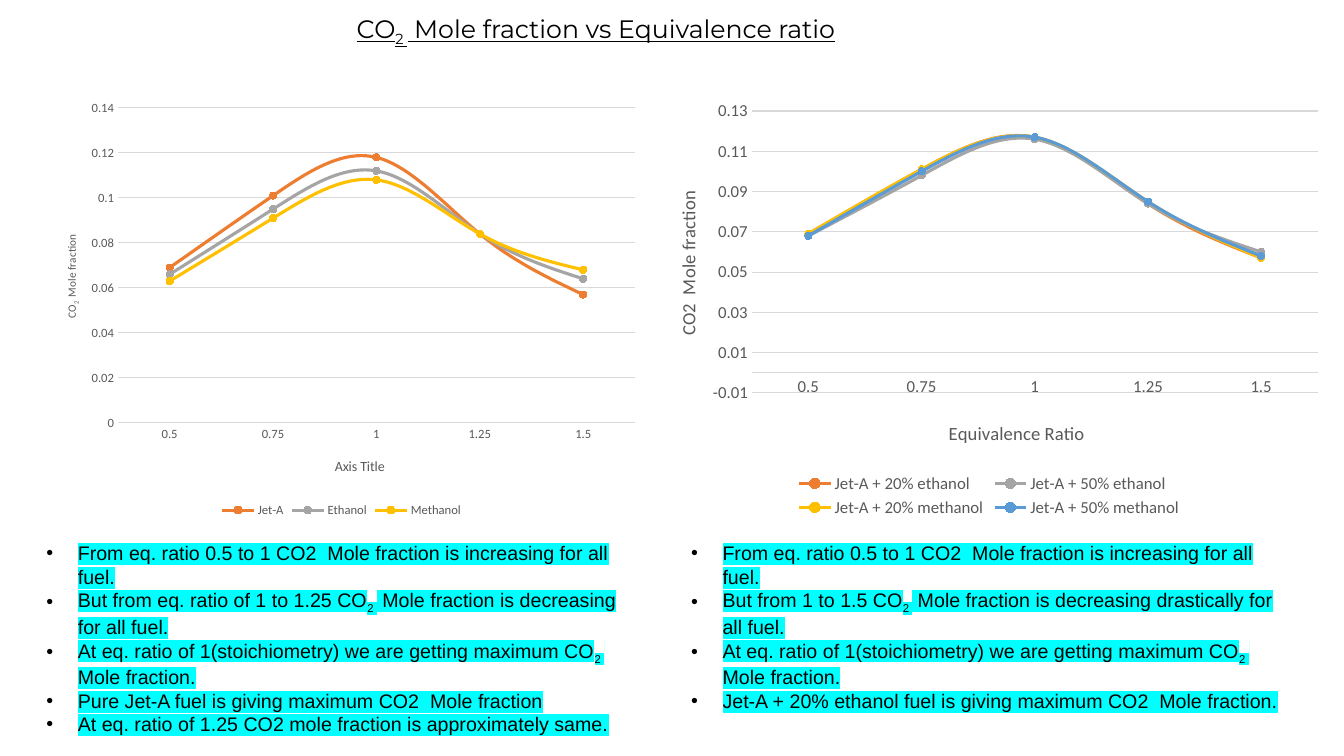
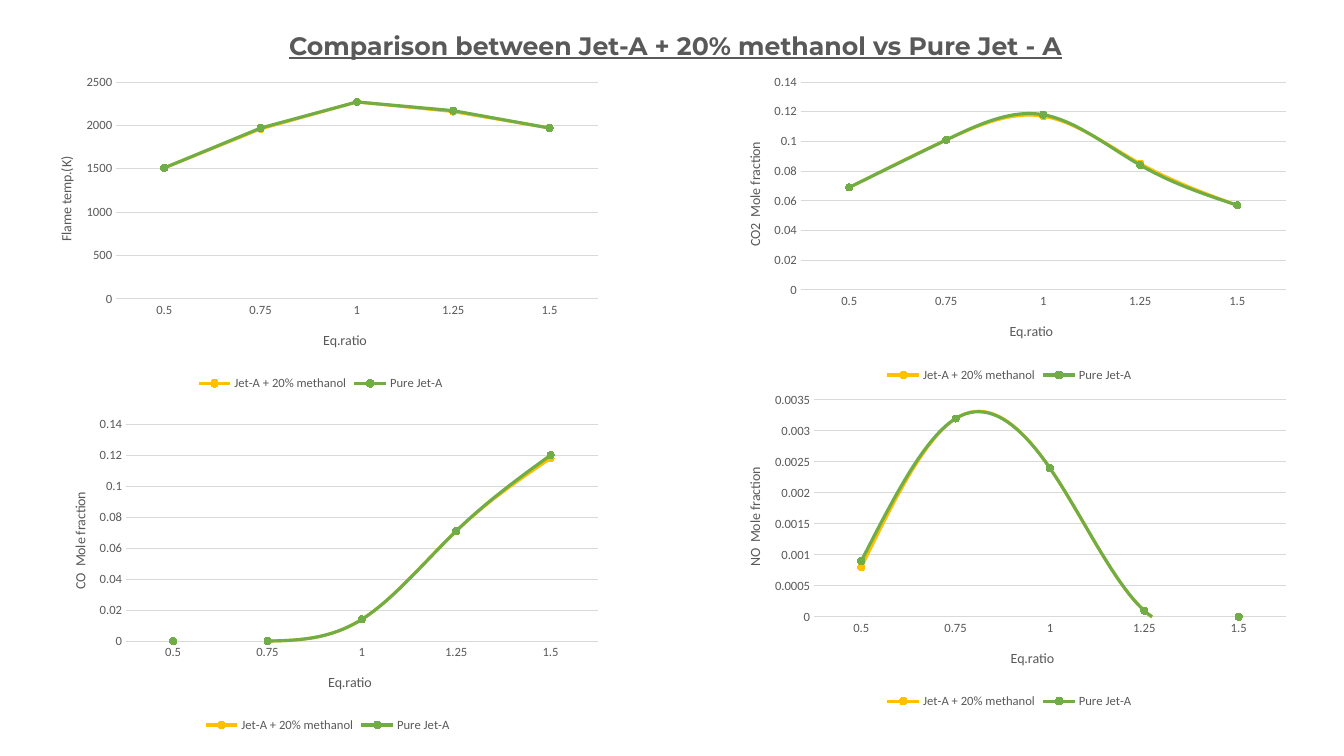
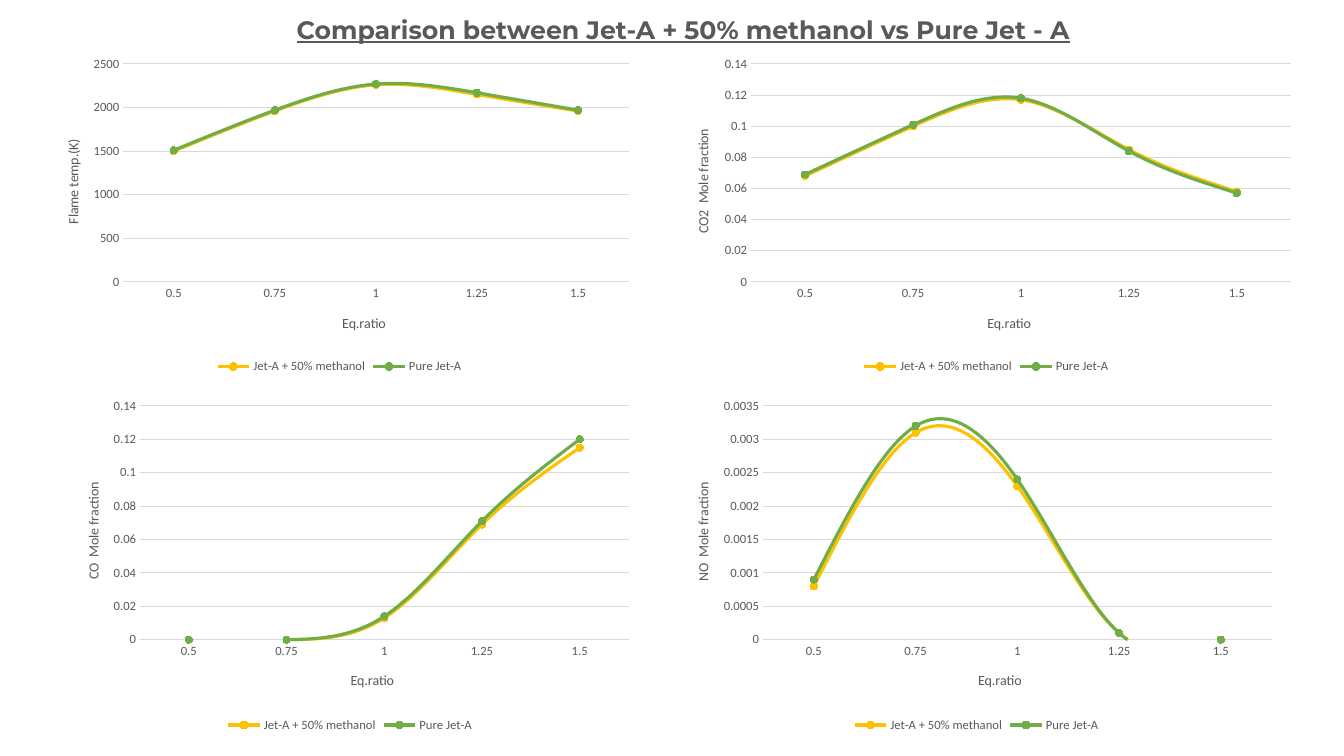
"""Builds three slides comparing combustion results of Jet-A and alcohol blends."""
from lxml import etree
from pptx import Presentation
from pptx.chart.data import CategoryChartData
from pptx.dml.color import RGBColor
from pptx.enum.chart import XL_CHART_TYPE, XL_LEGEND_POSITION, XL_MARKER_STYLE, XL_TICK_MARK
from pptx.enum.text import MSO_ANCHOR, MSO_AUTO_SIZE, PP_ALIGN
from pptx.oxml.ns import qn
from pptx.util import Pt

LINE_MARKERS = XL_CHART_TYPE.LINE_MARKERS
LEGEND_BOTTOM = XL_LEGEND_POSITION.BOTTOM
CIRCLE = XL_MARKER_STYLE.CIRCLE
NO_TICK = XL_TICK_MARK.NONE
TOP = MSO_ANCHOR.TOP
NO_FIT = MSO_AUTO_SIZE.NONE
LEFT, CENTER = PP_ALIGN.LEFT, PP_ALIGN.CENTER

BLACK = RGBColor(0x00, 0x00, 0x00)
GRAY = RGBColor(0x59, 0x59, 0x59)
GRID = RGBColor(0xD9, 0xD9, 0xD9)
ORANGE = RGBColor(0xED, 0x7D, 0x31)
SILVER = RGBColor(0xA5, 0xA5, 0xA5)
GOLD = RGBColor(0xFF, 0xC0, 0x00)
BLUE = RGBColor(0x5B, 0x9B, 0xD5)
GREEN = RGBColor(0x70, 0xAD, 0x47)
CYAN = RGBColor(0x00, 0xFF, 0xFF)

TITLE_FONT, BODY_FONT, CHART_FONT = "Montserrat", "Arial", "Calibri"
RATIOS = ("0.5", "0.75", "1", "1.25", "1.5")
INDENT = Pt(22.5)

FRACTION_SCALE = (0, 0.14, 0.02)
FRACTION_TITLE = ("CO2  Mole fraction", 7.66)

FUEL_CHARTS = [
    dict(box=(26, 65.5, 436, 307), plot=(84.3, 77.1, 369.3, 225),
         value_title=("CO|2 | Mole fraction", 7.4), value_size=8,
         ratio_title=("Axis Title", 4.3), drop=28.5, scale=FRACTION_SCALE,
         series=[("Jet-A", ORANGE, (0.069, 0.101, 0.118, 0.084, 0.057)),
                 ("Ethanol", SILVER, (0.066, 0.095, 0.112, 0.084, 0.064)),
                 ("Methanol", GOLD, (0.063, 0.091, 0.108, 0.084, 0.068))]),
    dict(box=(462, 65.5, 489, 307), plot=(537, 79.3, 404.3, 201.4),
         value_title=FRACTION_TITLE, value_size=13.3, ratio_size=13.3, label_size=12,
         ratio_title=("Equivalence Ratio", 7.21), drop=25, shift=16, inset=26,
         scale=(-0.01, 0.13, 0.02),
         series=[("Jet-A + 20% ethanol", ORANGE, (0.069, 0.101, 0.117, 0.084, 0.057)),
                 ("Jet-A + 50% ethanol", SILVER, (0.068, 0.098, 0.116, 0.084, 0.06)),
                 ("Jet-A + 20% methanol", GOLD, (0.069, 0.101, 0.117, 0.085, 0.057)),
                 ("Jet-A + 50% methanol", BLUE, (0.068, 0.1, 0.117, 0.085, 0.058))]),
]

RATIO_START = "From eq. ratio 0.5 to 1 CO2  Mole fraction is increasing for all fuel."
RATIO_PEAK = "At eq. ratio of 1(stoichiometry) we are getting maximum CO|2 | Mole fraction."
FINDINGS = [
    (26, [RATIO_START,
          "But from eq. ratio of 1 to 1.25 CO|2 | Mole fraction is decreasing for all fuel.",
          RATIO_PEAK,
          "Pure Jet-A fuel is giving maximum CO2  Mole fraction",
          "At eq. ratio of 1.25 CO2 mole fraction is approximately same."]),
    (486.5, [RATIO_START,
             "But from 1 to 1.5 CO|2 | Mole fraction is decreasing drastically for all fuel.",
             RATIO_PEAK,
             "Jet-A + 20% ethanol fuel is giving maximum CO2  Mole fraction."]),
]

MEASURES = [
    dict(value_title=("Flame temp.(K)", 6.2), scale=(0, 2500, 500)),
    dict(value_title=FRACTION_TITLE, scale=FRACTION_SCALE),
    dict(value_title=("CO  Mole fraction", 7.2), scale=FRACTION_SCALE),
    dict(value_title=("NO  Mole fraction", 7.2), scale=(0, 0.0035, 0.0005), shift=14),
]
PURE_VALUES = [
    (1510, 1970, 2270, 2170, 1970),
    (0.069, 0.101, 0.118, 0.084, 0.057),
    (0, 0, 0.014, 0.071, 0.12),
    (0.0009, 0.0032, 0.0024, 0.0001, 0),
]
COMPARISONS = [
    dict(blend="Jet-A + 20% methanol", title_box=(63.5, 18, 838, 29), smooth_temperature=False,
         panels=[
             ((23, 49, 412, 233), (83, 58.6, 344, 155), (1510, 1960, 2270, 2160, 1970)),
             ((515, 49, 412, 227), (572, 58.6, 346.5, 148.5),
              (0.069, 0.101, 0.117, 0.085, 0.057)),
             ((33, 293, 402, 233), (90, 303, 337, 155), (0, 0, 0.014, 0.071, 0.118)),
             ((515, 276, 412, 233), (581.5, 285.7, 337, 155),
              (0.0008, 0.0032, 0.0024, 0.0001, 0)),
         ]),
    dict(blend="Jet-A + 50% methanol", title_box=(93.5, 6.5, 789, 29), smooth_temperature=True,
         panels=[
             ((28, 36, 429, 234), (88, 45.7, 361, 155.7), (1500, 1960, 2260, 2150, 1960)),
             ((478, 36, 453, 234), (536.5, 45.7, 385.7, 155.7),
              (0.068, 0.1, 0.117, 0.085, 0.058)),
             ((42.5, 280, 415, 246), (100, 290, 349, 167), (0, 0, 0.013, 0.069, 0.115)),
             ((478, 280, 439, 246), (545, 290, 363.5, 167),
              (0.0008, 0.0031, 0.0023, 0.0001, 0)),
         ]),
]


def write_text(para, text, font, size, color, bold=False, underline=None, highlight=None):
    """Fill a paragraph; the parts between bars become subscripts."""
    for index, part in enumerate(text.split("|")):
        span = para.add_run()
        span.text = part
        span.font.size = Pt(size)
        span.font.bold = bold
        span.font.underline = underline
        span.font.color.rgb = color
        span.font.name = font
        properties = span.font._element
        if index % 2:
            properties.set("baseline", "-25000")
        if highlight:
            mark = etree.Element(qn("a:highlight"))
            etree.SubElement(mark, qn("a:srgbClr")).set("val", str(highlight))
            properties.find(qn("a:solidFill")).addnext(mark)


def place(shape, box):
    """Move a shape to a box given in points."""
    shape.left, shape.top, shape.width, shape.height = (Pt(length) for length in box)


def add_page(deck, title, box, align=CENTER, color=GRAY, bold=True):
    """Add a slide with the shared underlined title."""
    page = deck.slides.add_slide(deck.slide_layouts[5])
    place(page.shapes.title, box)
    frame = page.shapes.title.text_frame
    frame.word_wrap = True
    frame.auto_size = NO_FIT
    frame.vertical_anchor = TOP
    para = frame.paragraphs[0]
    para.alignment = align
    write_text(para, title, TITLE_FONT, 18, color, bold=bold, underline=True)
    return page


def add_findings(page, left, findings):
    """Add a highlighted bullet list."""
    box = page.shapes.add_textbox(Pt(left), Pt(383), Pt(436), Pt(143))
    frame = box.text_frame
    frame.word_wrap = True
    for index, finding in enumerate(findings):
        para = frame.add_paragraph() if index else frame.paragraphs[0]
        para.alignment = LEFT
        write_text(para, finding, BODY_FONT, 14, BLACK, highlight=CYAN)
        properties = para._p.get_or_add_pPr()
        properties.set("marL", str(INDENT))
        properties.set("indent", str(-INDENT))
        etree.SubElement(properties, qn("a:buFont")).set("typeface", BODY_FONT)
        etree.SubElement(properties, qn("a:buChar")).set("char", "•")


def set_layout(parent, index, **fields):
    """Give a chart part a manual layout."""
    for old in parent.findall(qn("c:layout")):
        parent.remove(old)
    layout = etree.Element(qn("c:layout"))
    manual = etree.SubElement(layout, qn("c:manualLayout"))
    for name, value in fields.items():
        text = value if isinstance(value, str) else f"{value:.4f}"
        etree.SubElement(manual, qn(f"c:{name}")).set("val", text)
    parent.insert(index, layout)


def add_axis_title(axis, text, size, corner, rotation):
    """Title an axis with its top left corner at a fraction of the chart."""
    title = axis.axis_title
    write_text(title.text_frame.paragraphs[0], text, CHART_FONT, size, GRAY)
    element = title._element
    element.find(f".//{qn('a:bodyPr')}").set("rot", str(rotation))
    set_layout(element, 1, xMode="edge", yMode="edge", x=corner[0], y=corner[1])


def style_font(font, size, color=GRAY):
    """Format chart text."""
    font.name, font.size = CHART_FONT, Pt(size)
    font.color.rgb = color


def style_line(line, color, width):
    """Format a line."""
    line.color.rgb = color
    line.width = Pt(width)


def add_line_chart(page, box, plot, series, scale, value_title, ratio_title=("Eq.ratio", 3.18),
                   value_size=10, ratio_size=10, label_size=9, drop=27, shift=10, inset=22,
                   smooth=True):
    """Add a line chart whose plot area is given in points on the page."""
    data = CategoryChartData()
    data.categories = RATIOS
    for name, _, values in series:
        data.add_series(name, values)
    chart = page.shapes.add_chart(LINE_MARKERS, *(Pt(length) for length in box), data).chart
    chart.has_title = False
    style_font(chart.font, 10, BLACK)
    chart.has_legend = True
    chart.legend.position = LEGEND_BOTTOM
    chart.legend.include_in_layout = False
    style_font(chart.legend.font, label_size)
    chart.plots[0].vary_by_categories = False

    for line, (_, color, _) in zip(chart.plots[0].series, series):
        line.smooth = smooth
        style_line(line.format.line, color, 2.25)
        line.marker.style = CIRCLE
        line.marker.size = 5
        line.marker.format.fill.solid()
        line.marker.format.fill.fore_color.rgb = color
        style_line(line.marker.format.line, color, 0.75)

    ratio_axis, value_axis = chart.category_axis, chart.value_axis
    for axis in (ratio_axis, value_axis):
        axis.major_tick_mark = axis.minor_tick_mark = NO_TICK
        style_font(axis.tick_labels.font, label_size)
    style_line(ratio_axis.format.line, GRID, 0.75)
    value_axis.format.line.fill.background()
    value_axis.has_major_gridlines = True
    style_line(value_axis.major_gridlines.format.line, GRID, 0.75)
    value_axis.minimum_scale, value_axis.maximum_scale, value_axis.major_unit = scale

    left, top, width, height = box
    x, y, plot_width, plot_height = plot[0] - left, plot[1] - top, plot[2], plot[3]
    area = chart._chartSpace.find(f".//{qn('c:plotArea')}")
    set_layout(area, 0, layoutTarget="inner", xMode="edge", yMode="edge",
               x=x / width, y=y / height, w=plot_width / width, h=plot_height / height)
    text, ems = ratio_title
    corner = ((x + plot_width / 2 - shift - ems * ratio_size / 2) / width,
              (y + plot_height + drop - 0.61 * ratio_size) / height)
    add_axis_title(ratio_axis, text, ratio_size, corner, 0)
    text, ems = value_title
    corner = ((inset - 0.61 * value_size) / width,
              (y + plot_height / 2 + 5 - ems * value_size / 2) / height)
    add_axis_title(value_axis, text, value_size, corner, -5400000)


def main():
    """Build and save the deck."""
    deck = Presentation()
    deck.slide_width, deck.slide_height = Pt(960), Pt(540)

    page = add_page(deck, "CO|2 | Mole fraction vs Equivalence ratio", (247.5, 6, 480, 29),
                    align=LEFT, color=BLACK, bold=False)
    for chart in FUEL_CHARTS:
        add_line_chart(page, **chart)
    for left, findings in FINDINGS:
        add_findings(page, left, findings)

    for comparison in COMPARISONS:
        blend = comparison["blend"]
        page = add_page(deck, f"Comparison between {blend} vs Pure Jet - A",
                        comparison["title_box"])
        for measure, pure, (box, plot, values) in zip(MEASURES, PURE_VALUES,
                                                      comparison["panels"]):
            smooth = measure is not MEASURES[0] or comparison["smooth_temperature"]
            series = [(blend, GOLD, values), ("Pure Jet-A", GREEN, pure)]
            add_line_chart(page, box, plot, series, smooth=smooth, **measure)

    deck.save("out.pptx")


if __name__ == "__main__":
    main()
